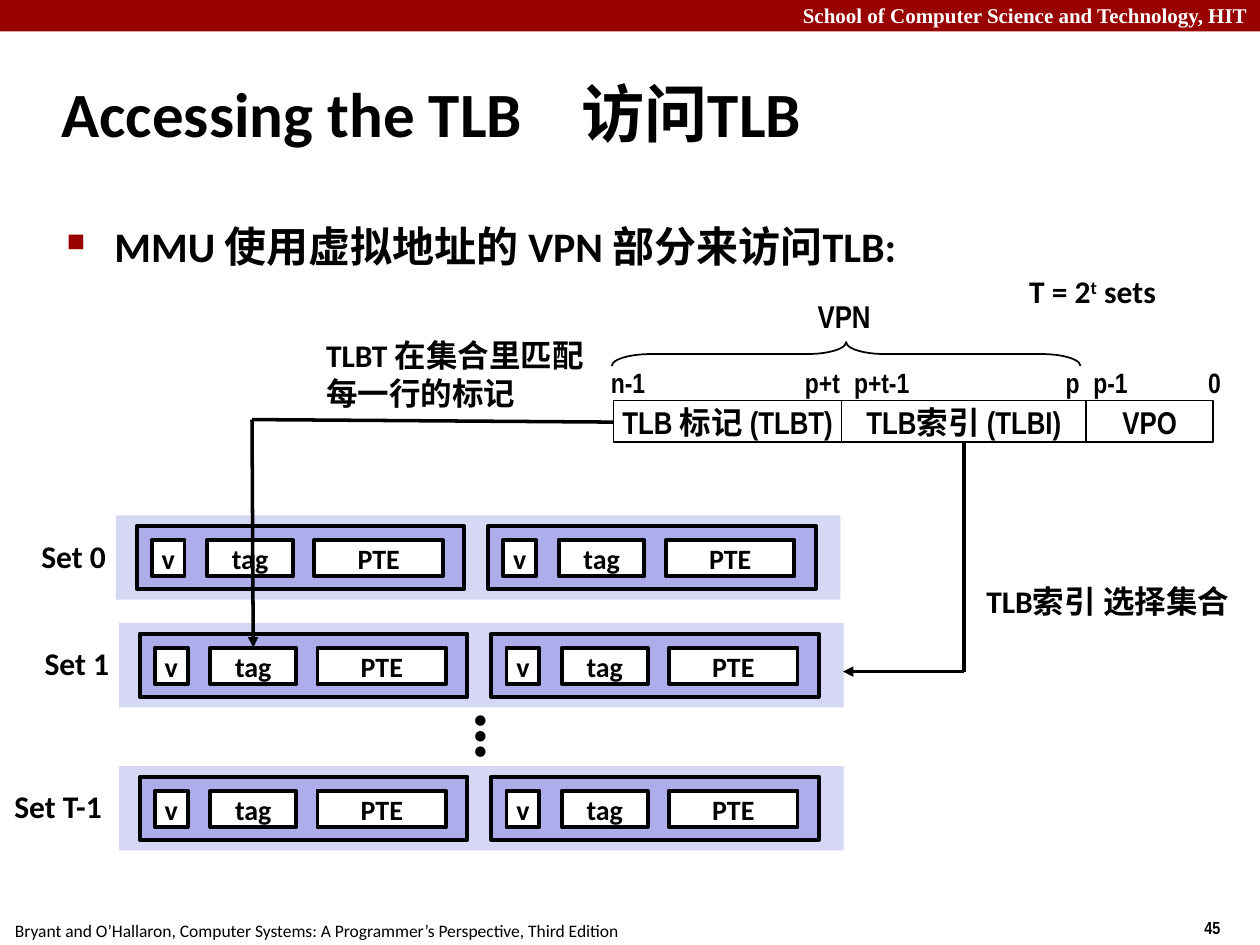
from lxml.etree import SubElement
from pptx import Presentation
from pptx.dml.color import RGBColor
from pptx.enum.shapes import MSO_CONNECTOR, MSO_SHAPE
from pptx.enum.text import MSO_ANCHOR, MSO_AUTO_SIZE, PP_ALIGN
from pptx.oxml.ns import qn
from pptx.util import Inches, Pt

COLS, ROWS = 100, 75
WIDTH, HEIGHT = Inches(10), Inches(7.5)
HUES = {"ink": "000000", "paper": "FFFFFF", "red": "990000",
        "band": "D6D6F5", "entry": "ADADEB"}
BOLD = {"size": Pt(18), "name": "Calibri", "bold": True}
NARROW = {**BOLD, "name": "Arial Narrow"}
BIT = {**NARROW, "size": Pt(16)}
FIELD = {**BOLD, "size": Pt(16)}


def hue(name):
    """Return the named colour."""
    return RGBColor.from_string(HUES[name])


def place(x, y):
    """Turn a column and a row into slide lengths."""
    return round(x * WIDTH / COLS), round(y * HEIGHT / ROWS)


def part(box, x, y, wide, high):
    """Return a box set off from the corner of another box."""
    return box[0] + x, box[1] + y, wide, high


def style(item, look):
    """Set every attribute named in a dict."""
    for key, value in look.items():
        setattr(item, key, value)


def write(frame, text, look, ink="ink", align=PP_ALIGN.LEFT):
    """Put one formatted paragraph into a text frame."""
    para = frame.paragraphs[0]
    para.alignment = align
    run = para.add_run()
    run.text = text
    style(run.font, look)
    run.font.color.rgb = hue(ink)
    return para


def label(slide, box, text, look, ink="ink", align=PP_ALIGN.LEFT,
          wrap=False, anchor=MSO_ANCHOR.TOP, fit=True):
    """Add a text box and return it."""
    shape = slide.shapes.add_textbox(*place(*box[:2]), *place(*box[2:]))
    size = MSO_AUTO_SIZE.SHAPE_TO_FIT_TEXT if fit else MSO_AUTO_SIZE.NONE
    style(shape.text_frame, {"word_wrap": wrap, "auto_size": size,
                             "vertical_anchor": anchor})
    write(shape.text_frame, text, look, ink, align)
    return shape


def block(slide, box, fill=None, line=0, text="", look=FIELD,
          kind=MSO_SHAPE.RECTANGLE):
    """Add a shape with an optional fill, outline and centred text."""
    shape = slide.shapes.add_shape(kind, *place(*box[:2]), *place(*box[2:]))
    shape.shadow.inherit = False
    if fill:
        shape.fill.solid()
        shape.fill.fore_color.rgb = hue(fill)
    else:
        shape.fill.background()
    if line:
        shape.line.width = Pt(line)
        shape.line.color.rgb = hue("ink")
    else:
        shape.line.fill.background()
    if text:
        style(shape.text_frame, {"word_wrap": False,
                                 "vertical_anchor": MSO_ANCHOR.MIDDLE})
        write(shape.text_frame, text, look, align=PP_ALIGN.CENTER)
    return shape


def route(slide, *stops):
    """Join stops with straight lines and end in an arrowhead."""
    for start, end in zip(stops, stops[1:]):
        line = slide.shapes.add_connector(
            MSO_CONNECTOR.STRAIGHT, *place(*start), *place(*end))
        line.line.width = Pt(2)
        line.line.color.rgb = hue("ink")
        SubElement(line._element.spPr, qn("a:effectLst"))
    SubElement(line.line._get_or_add_ln(), qn("a:tailEnd"), type="triangle")


def frame(slide, box):
    """Draw the banner at the top and the footer at the bottom."""
    wide, high = box[2:]
    block(slide, part(box, 0, 0, wide, 2.5), "red")
    label(slide, part(box, 94.6, high - 2.7, 7.5, 2.7), "45",
          {**NARROW, "size": Pt(10)})
    label(slide, part(box, 0.2, high - 2.5, 50.1, 2.7),
          "Bryant and O’Hallaron, Computer Systems: "
          "A Programmer’s Perspective, Third Edition",
          {"size": Pt(10), "name": "Calibri"})
    label(slide, part(box, 0, -0.3, wide, 3),
          "School of Computer Science and Technology, HIT",
          {"size": Pt(12), "name": "Times New Roman", "bold": True},
          "paper", PP_ALIGN.RIGHT, True)


def heading(slide, box):
    """Write the title and the bullet below it."""
    title = label(slide, part(box, 0, 0, 83, 8.3), "Accessing the TLB\t访问TLB",
                  {**BOLD, "size": Pt(36)}, wrap=True,
                  anchor=MSO_ANCHOR.MIDDLE, fit=False)
    props = title.text_frame.paragraphs[0]._p.get_or_add_pPr()
    tabs = SubElement(props, qn("a:tabLst"))
    SubElement(tabs, qn("a:tab"), pos=str(place(41.3, 0)[0]), algn="l")
    point = label(slide, part(box, 0.4, 12.2, 86.4, 6.2),
                  "MMU 使用虚拟地址的 VPN 部分来访问TLB:",
                  {**BOLD, "size": Pt(24)}, wrap=True, fit=False)
    props = point.text_frame.paragraphs[0]._p.get_or_add_pPr()
    inset = place(3.8, 0)[0]
    props.set("marL", str(inset))
    props.set("indent", str(-inset))
    tint = SubElement(props, qn("a:buClr"))
    SubElement(tint, qn("a:srgbClr"), val=HUES["red"])
    SubElement(props, qn("a:buSzPct"), val="60000")
    SubElement(props, qn("a:buChar"), char="■")


def address(slide, box):
    """Draw the fields of the virtual address with their bit numbers."""
    left = 0
    for text, wide, fill in (("TLB 标记 (TLBT)", 18.1, "paper"),
                             ("TLB索引 (TLBI)", 19.4, None),
                             ("VPO", 10.1, None)):
        block(slide, part(box, left, 0, wide, box[3]), fill, 1, text, NARROW)
        left += wide
    for text, x, wide in (("n-1", -1.2, 4.7), ("p+t", 14.2, 4.8),
                          ("p+t-1", 18.1, 6.4), ("p", 34.9, 3.1),
                          ("p-1", 37.1, 4.7), ("0", 46.2, 3)):
        label(slide, part(box, x, -3.3, wide, 3.7), text, BIT,
              anchor=MSO_ANCHOR.MIDDLE)
    brace = block(slide, part(box, 17.5, -22.3, 1.9, 37.2), line=1,
                  kind=MSO_SHAPE.LEFT_BRACE)
    brace.rotation = 90
    brace.adjustments[0] = 1.63
    label(slide, part(box, 15.2, -8.7, 6.2, 4), "VPN", NARROW,
          anchor=MSO_ANCHOR.MIDDLE)


def bank(slide, box, name, lead):
    """Draw one set with two entries and its name on the left."""
    block(slide, box, "band")
    for step in range(2):
        entry = part(box, 1.65 + 27.9 * step, 0.85, 26, 5)
        block(slide, entry, "entry", 2.25)
        for text, x, wide in (("v", 1.2, 2.6), ("tag", 5.6, 6.8),
                              ("PTE", 14.1, 10.2)):
            block(slide, part(entry, x, 1.1, wide, 2.9), "paper", 2.25, text)
    label(slide, part(box, -lead, 1.2, lead + 0.2, 4), name, BOLD)


def lookup(slide, box):
    """Draw the sets, the notes and the arrows from the address."""
    for name, x, y, lead in (("Set 0", 0, 0, 6.9), ("Set 1", 0.25, 8.55, 6.9),
                             ("Set T-1", 0.25, 19.9, 9.3)):
        bank(slide, part(box, x, y, 57.5, 6.7), name, lead)
    dots = label(slide, part(box, 24.2, 13.7, 5.9, 7.7), "…",
                 {**BOLD, "size": Pt(40)})
    dots.rotation = 270
    sets = label(slide, part(box, 71.5, -19.8, 12.5, 4), "T = 2", BOLD,
                 wrap=True)
    power = write(sets.text_frame, "t", BOLD).runs[-1]
    power.font._element.set("baseline", "30000")
    write(sets.text_frame, " sets", BOLD)
    label(slide, part(box, 68.1, 4.8, 21.8, 4), "TLB索引 选择集合", BOLD)
    label(slide, part(box, 15.7, -14.7, 22.6, 7), "TLBT 在集合里匹配每一行的标记",
          BOLD, wrap=True)
    x, y = box[:2]
    route(slide, (x + 67.3, y - 5.8), (x + 67.3, y + 12.4), (x + 57.7, y + 12.4))
    route(slide, (x + 39.5, y - 7.4), (x + 10.8, y - 7.6), (x + 10.9, y + 10.5))


def main():
    """Build the slide and save it."""
    deck = Presentation()
    style(deck, {"slide_width": WIDTH, "slide_height": HEIGHT})
    slide = deck.slides.add_slide(deck.slide_layouts[6])
    frame(slide, (0, 0, COLS, ROWS))
    heading(slide, (3.9, 4.8, 86.8, 18.4))
    address(slide, (48.7, 31.8, 47.6, 3.3))
    lookup(slide, (9.2, 40.9, 57.7, 26.6))
    deck.save("out.pptx")


if __name__ == "__main__":
    main()
